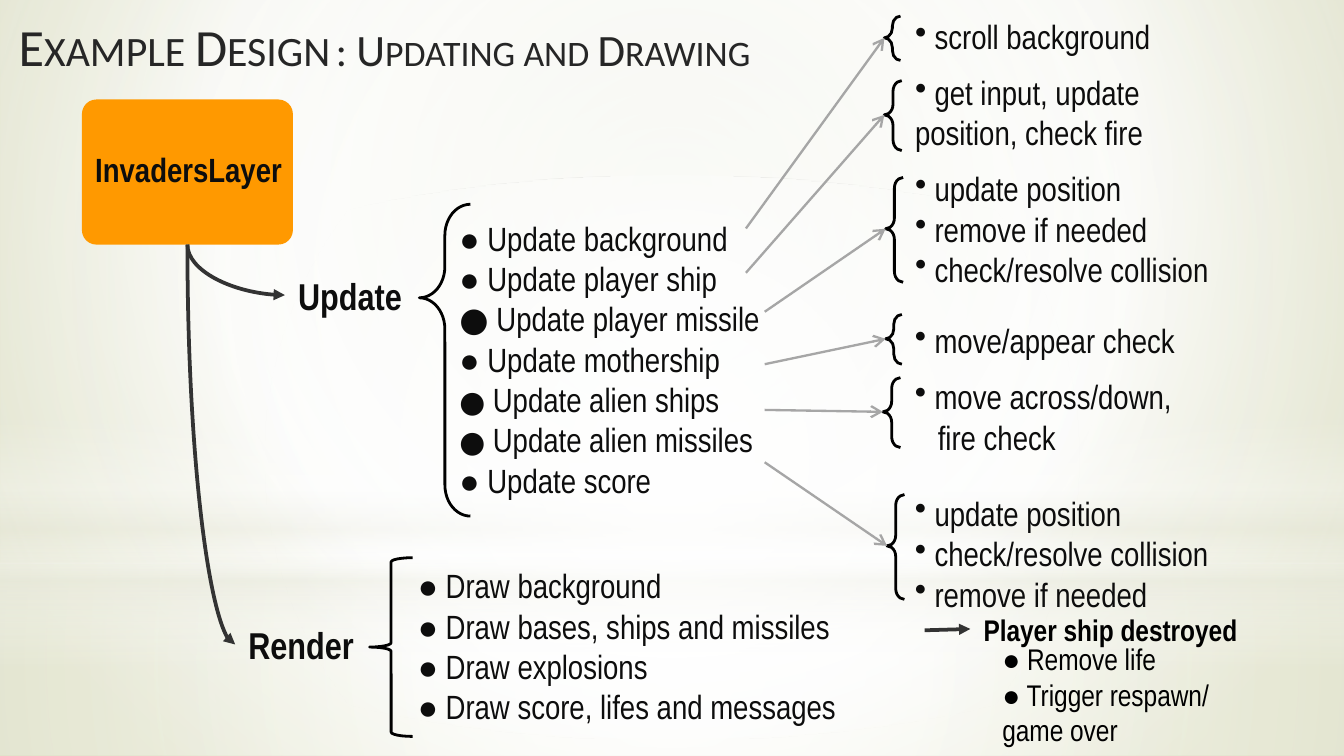
from dataclasses import dataclass

from lxml import etree
from pptx import Presentation
from pptx.dml.color import RGBColor
from pptx.enum.shapes import MSO_CONNECTOR, MSO_SHAPE
from pptx.enum.text import MSO_ANCHOR
from pptx.oxml.ns import qn
from pptx.util import Inches, Pt

CELL = Inches(0.1)
COLUMNS, ROWS = 100, 56.25
STRAIGHT, CURVE = MSO_CONNECTOR.STRAIGHT, MSO_CONNECTOR.CURVE
RECT, OVAL = MSO_SHAPE.RECTANGLE, MSO_SHAPE.OVAL
ROUNDED, BRACE = MSO_SHAPE.ROUNDED_RECTANGLE, MSO_SHAPE.LEFT_BRACE
TOP, MIDDLE = MSO_ANCHOR.TOP, MSO_ANCHOR.MIDDLE
NARROW, HEADING, DOT_FONT = "Arial Narrow", "Calibri", "Roboto"
COLORS = {
    "title": "262626", "ink": "0D0D0D", "black": "000000", "layer": "FF9900",
    "flow": "333333", "detail": "A6A6A6",
    "white": "FFFFFF", "cream": "EAEBDE", "sage": "E3E5D1", "olive": "CCD09F",
}
CENTER = (50, 50, 50, 50)

UPDATE_STEPS = [
    "● Update background",
    "● Update player ship",
    [("●", DOT_FONT, 18), (" Update player missile", NARROW, 18)],
    "● Update mothership",
    [("● ", DOT_FONT, 16), ("Update alien ships", NARROW, 18)],
    [("● ", DOT_FONT, 16), ("Update alien missiles", NARROW, 18)],
    "● Update score",
]
RENDER_STEPS = ["● Draw background", "● Draw bases, ships and missiles",
                "● Draw explosions", "● Draw score, lifes and messages"]

# Each note: text, space before in points, left indent in cells (0 means bulleted)
EARLY_NOTES = [
    ("scroll background", 0, 0),
    ("get input, update position, check fire", 8.4, 0),
    ("update position", 8.4, 0),
    ("remove if needed", 0, 0),
    ("check/resolve collision", 0, 0),
]
LATE_NOTES = [
    ("move/appear check", 0, 0),
    ("move across/down,", 8.4, 0),
    ("fire check", 0, 1.7),
    ("update position", 19.2, 0),
    ("check/resolve collision", 0, 0),
    ("remove if needed", 0, 0),
]
# Each link: arrow start (column, row), brace (column, row, width, height)
LINKS = [
    ((0, 16.4), (10.3, 0.6, 1.2, 3.3)),
    ((0, 19.7), (10.3, 5.4, 1.3, 5.2)),
    ((1.4, 22.6), (10.4, 12.6, 1.3, 7.8)),
    ((1.4, 26.5), (10.4, 22.8, 1.2, 3.7)),
    ((1.4, 29.9), (10.2, 27.5, 1.3, 5.2)),
    ((1.4, 33.8), (10.5, 36.2, 1.3, 7.8)),
]


@dataclass
class Box:
    """A rectangle counted in grid cells."""
    left: float
    top: float
    width: float
    height: float

    def inner(self, column, row, width, height):
        return Box(self.left + column, self.top + row, width, height)

    def lengths(self):
        return [cells(n) for n in (self.left, self.top, self.width, self.height)]


def cells(count):
    return round(count * CELL)


def color(name):
    return RGBColor.from_string(COLORS[name])


def add_gradient(fill, owner, stops, focus=None):
    """Fill with (position, colour, opacity) stops, round a focus or downwards."""
    fill.gradient()
    gradient = next(owner.iter(qn("a:gradFill")))
    for child in list(gradient):
        gradient.remove(child)
    stop_list = etree.SubElement(gradient, qn("a:gsLst"))
    for position, name, opacity in stops:
        stop = etree.SubElement(stop_list, qn("a:gs"), pos=str(position * 1000))
        tone = etree.SubElement(stop, qn("a:srgbClr"), val=COLORS[name])
        etree.SubElement(tone, qn("a:alpha"), val=str(opacity * 1000))
    if focus:
        route = etree.SubElement(gradient, qn("a:path"), {"path": "circle"})
        sides = {side: str(share * 1000) for side, share in zip("ltrb", focus)}
        etree.SubElement(route, qn("a:fillToRect"), sides)
    else:
        etree.SubElement(gradient, qn("a:lin"), ang="5400000", scaled="0")


def add_plain_shape(slide, kind, box):
    shape = slide.shapes.add_shape(kind, *box.lengths())
    shape.shadow.inherit = False
    shape.line.fill.background()
    return shape


def add_brace(slide, box, curl, tip):
    brace = add_plain_shape(slide, BRACE, box)
    brace.fill.background()
    brace.line.color.rgb = color("black")
    brace.line.width = Pt(1.5)
    brace.adjustments[0], brace.adjustments[1] = curl, tip


def add_arrow(slide, start, end, tone, width, head, kind=STRAIGHT):
    arrow = slide.shapes.add_connector(kind, *map(cells, (*start, *end)))
    arrow.line.color.rgb = color(tone)
    arrow.line.width = Pt(width)
    properties = arrow._element.spPr
    etree.SubElement(properties.find(qn("a:ln")), qn("a:tailEnd"), type=head)
    etree.SubElement(properties, qn("a:effectLst"))
    return arrow


def add_bend(slide, start, end):
    """Curve that leaves start downwards and reaches end from the left."""
    (x1, y1), (x2, y2) = start, end
    middle_x, middle_y = (x1 + x2) / 2, (y1 + y2) / 2
    half_w, half_h = (y2 - y1) / 2, (x2 - x1) / 2
    bend = add_arrow(slide, (middle_x - half_w, middle_y - half_h),
                     (middle_x + half_w, middle_y + half_h),
                     "flow", 2, "triangle", CURVE)
    properties = bend._element.spPr
    properties.find(qn("a:prstGeom")).set("prst", "curvedConnector2")
    frame = properties.find(qn("a:xfrm"))
    frame.set("rot", "16200000")
    frame.set("flipH", "1")


def add_text(slide, box, lines, size=18, tone="ink", font=NARROW, bold=False,
             anchor=MIDDLE, small_caps=False):
    """Each line is a string, or a list of (text, font, size) runs."""
    frame = slide.shapes.add_textbox(*box.lengths()).text_frame
    frame.word_wrap = True
    frame.vertical_anchor = anchor
    for number, line in enumerate(lines):
        paragraph = frame.add_paragraph() if number else frame.paragraphs[0]
        for text, face, points in [(line, font, size)] if isinstance(line, str) else line:
            run = paragraph.add_run()
            run.text = text
            run.font.name, run.font.size, run.font.bold = face, Pt(points), bold
            run.font.color.rgb = color(tone)
            if small_caps:
                run._r.get_or_add_rPr().set("cap", "small")
    return frame


def add_backdrop(slide, box):
    add_gradient(slide.background.fill, slide._element,
                 [(0, "sage", 100), (60, "white", 100), (100, "olive", 100)],
                 (20, 10, 20, 60))
    horizon = 41.9
    layers = [
        (RECT, horizon, box.height - horizon,
         [(0, "white", 91), (37, "white", 76), (100, "cream", 79)], CENTER),
        (RECT, 0, horizon,
         [(0, "white", 89), (48, "white", 62), (100, "cream", 79)], CENTER),
        (RECT, 30.9, 18.8,
         [(0, "white", 0), (29, "white", 30), (45, "cream", 40),
          (55, "white", 26), (65, "cream", 60), (100, "white", 0)], None),
        (OVAL, 13.1, horizon, [(0, "white", 100), (56, "white", 0)], CENTER),
    ]
    for kind, row, height, stops, focus in layers:
        layer = add_plain_shape(slide, kind, box.inner(0, row, box.width, height))
        add_gradient(layer.fill, layer._element, stops, focus)


def add_header(slide, box):
    style = dict(size=28, tone="title", font=HEADING, anchor=TOP, small_caps=True)
    add_text(slide, box.inner(0, 0, 47.2, box.height), ["Example Design"], **style)
    add_text(slide, box.inner(23.6, 0, 59.1, box.height),
             [[(": ", HEADING, 28), ("Updating and Drawing", HEADING, 24)]], **style)


def add_layer_node(slide, box):
    """Draw the root node and return the point its branches leave from."""
    node = add_plain_shape(slide, ROUNDED, box)
    node.fill.solid()
    node.fill.fore_color.rgb = color("layer")
    node.adjustments[0] = 0.1
    add_text(slide, box.inner(0, 3.2, 16.1, 4), ["InvadersLayer"], bold=True)
    return box.left + box.width / 2, box.top + box.height


def add_branch(slide, box, root, name, steps, brace_width, list_column, curl, tip):
    label_middle = tip * box.height - 0.2
    add_text(slide, box.inner(0, label_middle - 2.1, 13, 4.2), [name], 20, bold=True)
    add_bend(slide, root, (box.left, box.top + label_middle))
    add_brace(slide, box.inner(10, 0, brace_width, box.height), curl, tip)
    add_text(slide, box.inner(list_column, -0.1, box.width - list_column, box.height), steps)


def add_notes(slide, box, notes):
    frame = add_text(slide, box, [text if indent else f" {text}" for text, _, indent in notes])
    for paragraph, (_, gap, indent) in zip(frame.paragraphs, notes):
        paragraph.space_before = Pt(gap)
        properties = paragraph._p.get_or_add_pPr()
        properties.set("marL", str(cells(indent)))
        properties.set("indent", "0")
        if not indent:
            etree.SubElement(properties, qn("a:buChar"), char="•")


def add_details(slide, box):
    tip = 0.49
    for (column, row), brace in LINKS:
        spot = box.inner(*brace)
        add_brace(slide, spot, 0.61, tip)
        add_arrow(slide, (box.left + column, box.top + row),
                  (spot.left, spot.top + tip * spot.height), "detail", 1.25, "arrow")
    add_notes(slide, box.inner(11.6, 0, 24.5, 21.5), EARLY_NOTES)
    add_notes(slide, box.inner(11.6, 22.6, 25.4, 23.1), LATE_NOTES)


def add_outcome(slide, box):
    add_arrow(slide, (box.left, box.top + 1.6), (box.left + 3.4, box.top + 1.5),
              "flow", 2, "triangle")
    add_text(slide, box.inner(3.4, 0, 22.4, 3.1), ["Player ship destroyed"],
             16, "black", bold=True)
    add_text(slide, box.inner(4.8, 1.8, 19.7, 9.1),
             ["● Remove life", "● Trigger respawn/ game over"], 16, "black")


def main():
    deck = Presentation()
    deck.slide_width, deck.slide_height = cells(COLUMNS), cells(ROWS)
    slide = deck.slides.add_slide(deck.slide_layouts[6])
    add_backdrop(slide, Box(0, 0, COLUMNS, ROWS))
    add_header(slide, Box(0.4, 0.6, 82.7, 6.3))
    root = add_layer_node(slide, Box(6.1, 7.4, 15.7, 10.8))
    add_branch(slide, Box(21.2, 15.2, 43.9, 23.2), root, "Update", UPDATE_STEPS,
               3.8, 12, 0.61, 0.3)
    add_branch(slide, Box(17.5, 41.5, 54.7, 13.3), root, "Render", RENDER_STEPS,
               3.2, 12.6, 0.1, 0.5)
    add_details(slide, Box(55.5, 0.6, 37, 45.7))
    add_outcome(slide, Box(68.8, 45.3, 25.8, 10.9))
    deck.save("out.pptx")


if __name__ == "__main__":
    main()
